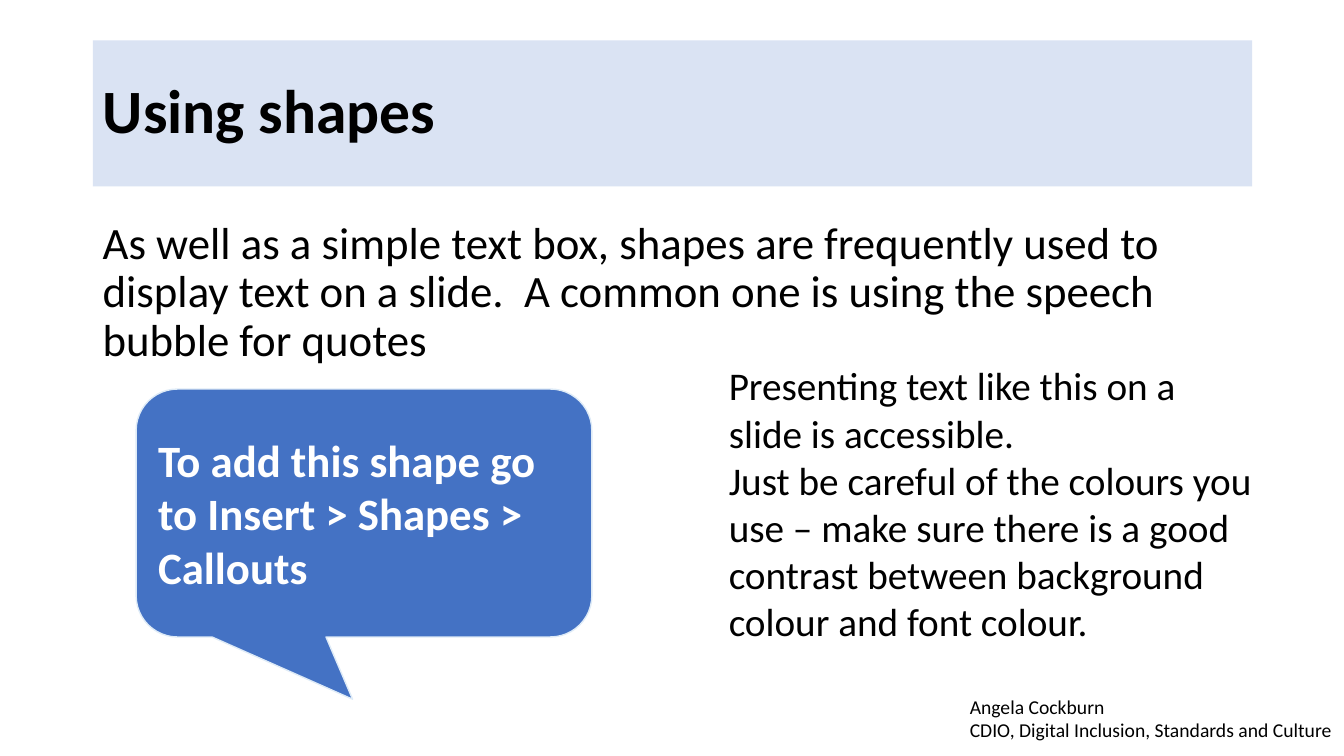
from pptx import Presentation
from pptx import util as u
from pptx.dml.color import RGBColor
from pptx.enum import shapes, text

BLACK = RGBColor(0x00, 0x00, 0x00)
WHITE = RGBColor(0xFF, 0xFF, 0xFF)
PALE = RGBColor(0xDA, 0xE3, 0xF3)
BLUE = RGBColor(0x44, 0x72, 0xC4)
EDGE = RGBColor(0xDE, 0xEB, 0xF7)
FONT = "Calibri"


def write(shape, *lines, size, color=BLACK, bold=False, gap=0, lead=1.0,
          anchor=text.MSO_ANCHOR.TOP, wrap=True):
    """Fill a shape with one formatted paragraph per line."""
    frame = shape.text_frame
    frame.word_wrap = wrap
    frame.auto_size = text.MSO_AUTO_SIZE.NONE
    frame.vertical_anchor = anchor
    for i, line in enumerate(lines):
        par = frame.add_paragraph() if i else frame.paragraphs[0]
        par.alignment = text.PP_ALIGN.LEFT
        par.line_spacing = lead
        par.space_before = par.space_after = u.Pt(gap)
        run = par.add_run()
        run.text = line
        font = run.font
        font.name, font.size, font.bold = FONT, u.Pt(size), bold
        font.color.rgb = color


def paint(shape, color):
    shape.fill.solid()
    shape.fill.fore_color.rgb = color


def add_title(slide, box, line):
    title = slide.shapes.title
    title.left, title.top, title.width, title.height = map(u.Inches, box)
    paint(title, PALE)
    write(title, line, size=44, bold=True, lead=0.9,
          anchor=text.MSO_ANCHOR.MIDDLE)


def add_text(slide, box, *lines, **form):
    write(slide.shapes.add_textbox(*map(u.Inches, box)), *lines, **form)


def add_bubble(slide, box, line):
    kind = shapes.MSO_SHAPE.ROUNDED_RECTANGULAR_CALLOUT
    bubble = slide.shapes.add_shape(kind, *map(u.Inches, box))
    # Tail tip across and down, then corner rounding
    for i, value in enumerate((-0.025, 0.751, 0.167)):
        bubble.adjustments[i] = value
    bubble.shadow.inherit = False
    paint(bubble, BLUE)
    bubble.line.color.rgb = EDGE
    bubble.line.width = u.Pt(1)
    write(bubble, line, size=32, color=WHITE, bold=True, gap=18,
          anchor=text.MSO_ANCHOR.MIDDLE)


def main():
    deck = Presentation()
    deck.slide_width, deck.slide_height = u.Inches(13.33), u.Inches(7.5)
    slide = deck.slides.add_slide(deck.slide_layouts[5])

    # Heading and introduction
    add_title(slide, (0.92, 0.4, 11.5, 1.45), "Using shapes")
    add_text(slide, (0.92, 2.14, 11.5, 1.75),
             "As well as a simple text box, shapes are frequently used to "
             "display text on a slide.  A common one is using the speech "
             "bubble for quotes", size=32, gap=18, lead=0.9)

    # Speech bubble with advice beside it
    add_bubble(slide, (1.35, 3.86, 4.52, 2.46),
               "To add this shape go to Insert > Shapes > Callouts")
    add_text(slide, (7.13, 3.54, 5.44, 2.93),
             "Presenting text like this on a slide is accessible.",
             "Just be careful of the colours you use – make sure there is a "
             "good contrast between background colour and font colour.",
             size=28)

    # Presenter
    add_text(slide, (9.52, 6.84, 3.83, 0.57), "Angela Cockburn",
             "CDIO, Digital Inclusion, Standards and Culture",
             size=14, wrap=False)

    deck.save("out.pptx")


if __name__ == "__main__":
    main()
